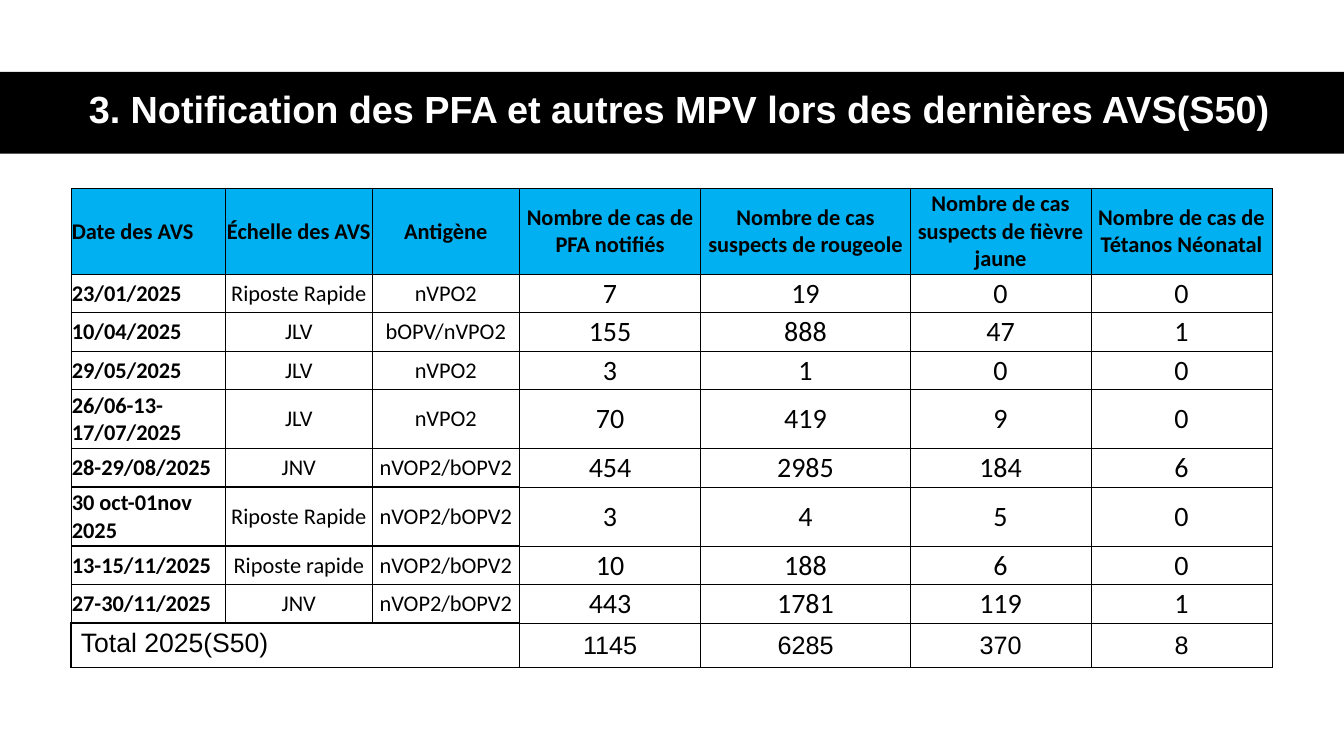
from dataclasses import dataclass

from lxml import etree
from pptx import Presentation
from pptx import util as u
from pptx.dml.color import RGBColor
from pptx.enum import shapes, text
from pptx.oxml.ns import qn

BLACK = RGBColor(0x00, 0x00, 0x00)
WHITE = RGBColor(0xFF, 0xFF, 0xFF)
HEADER_BLUE = RGBColor(0x00, 0xB0, 0xF0)
LABEL_COLUMNS = 3
FIRST_THICK_ROW = 6


@dataclass(frozen=True)
class Column:
    heading: str
    width: float


@dataclass(frozen=True)
class Campaign:
    date: str
    scale: str
    antigen: str
    cases: tuple[int, int, int, int]
    height: float = 0.97

    @property
    def values(self) -> list[str]:
        return [self.date, self.scale, self.antigen, *map(str, self.cases)]


COLUMNS = [
    Column("Date des AVS", 3.89),
    Column("Échelle des AVS", 3.7),
    Column("Antigène", 3.71),
    Column("Nombre de cas de PFA notifiés", 4.57),
    Column("Nombre de cas suspects de rougeole", 5.28),
    Column("Nombre de cas suspects de fièvre jaune", 4.55),
    Column("Nombre de cas de Tétanos Néonatal", 4.57),
]
CAMPAIGNS = [
    Campaign("23/01/2025", "Riposte Rapide", "nVPO2", (7, 19, 0, 0)),
    Campaign("10/04/2025", "JLV", "bOPV/nVPO2", (155, 888, 47, 1)),
    Campaign("29/05/2025", "JLV", "nVPO2", (3, 1, 0, 0)),
    Campaign("26/06-13-17/07/2025", "JLV", "nVPO2", (70, 419, 9, 0), 1.49),
    Campaign("28-29/08/2025", "JNV", "nVOP2/bOPV2", (454, 2985, 184, 6)),
    Campaign("30 oct-01nov 2025", "Riposte Rapide", "nVOP2/bOPV2", (3, 4, 5, 0), 1.49),
    Campaign("13-15/11/2025", "Riposte rapide", "nVOP2/bOPV2", (10, 188, 6, 0)),
    Campaign("27-30/11/2025", "JNV", "nVOP2/bOPV2", (443, 1781, 119, 1)),
]
TOTAL = Campaign("Total 2025(S50)", "", "", (1145, 6285, 370, 8), 1.12)
TOTAL_ROW = len(CAMPAIGNS) + 1


def format_text(tf, size: float, font: str, color: RGBColor, bold: bool, align) -> None:
    p = tf.paragraphs[0]
    p.alignment = align
    for r in p.runs:
        r.font.size = u.Pt(size)
        r.font.name = font
        r.font.bold = bold
        r.font.color.rgb = color


def set_margins(target, horizontal: float, top: float, bottom: float) -> None:
    target.margin_left = target.margin_right = u.Cm(horizontal)
    target.margin_top = u.Cm(top)
    target.margin_bottom = u.Cm(bottom)


def set_borders(cell, row: int, col: int) -> None:
    label = col < LABEL_COLUMNS
    thick = {
        "L": row == TOTAL_ROW and col == 0,
        "R": False,
        "T": label and row >= FIRST_THICK_ROW,
        "B": label and FIRST_THICK_ROW <= row + 1 <= TOTAL_ROW,
    }
    tc_pr = cell._tc.get_or_add_tcPr()
    for side, is_thick in thick.items():
        width = u.Pt(1 if is_thick else 0.5)
        ln = etree.SubElement(tc_pr, qn(f"a:ln{side}"), w=str(width))
        fill = etree.SubElement(ln, qn("a:solidFill"))
        etree.SubElement(fill, qn("a:srgbClr"), val=str(BLACK))


def fill_cell(cell, value: str, row: int, col: int) -> None:
    label = col < LABEL_COLUMNS
    header, total = row == 0, row == TOTAL_ROW
    set_borders(cell, row, col)
    if header or (col == LABEL_COLUMNS and not total):
        cell.fill.solid()
        cell.fill.fore_color.rgb = HEADER_BLUE if header else WHITE
    else:
        cell.fill.background()
    if total and label:
        size = 19
        set_margins(cell, 0.25, 0.13, 0.13)
        cell.vertical_anchor = text.MSO_ANCHOR.TOP
    else:
        size = 18 if total else 16 if header or label else 20
        inset = 0 if total else 0.02
        set_margins(cell, inset, inset, 0)
        cell.vertical_anchor = text.MSO_ANCHOR.MIDDLE
    cell.text_frame.text = value
    align = text.PP_ALIGN.LEFT if col == 0 else text.PP_ALIGN.CENTER
    bold = header or (col == 0 and not total)
    format_text(cell.text_frame, size, "Arial" if total else "Calibri", BLACK, bold, align)


def add_title(s) -> None:
    title = s.shapes.title
    title.left, title.top, title.width, title.height = map(u.Cm, (1.55, 1.78, 31.14, 2.06))
    tf = title.text_frame
    tf.text = "3. Notification des PFA et autres MPV lors des dernières AVS(S50)"
    tf.word_wrap = True
    tf.auto_size = text.MSO_AUTO_SIZE.NONE
    tf.vertical_anchor = text.MSO_ANCHOR.MIDDLE
    format_text(tf, 27, "Arial", WHITE, True, text.PP_ALIGN.CENTER)
    tf.paragraphs[0].line_spacing = 0.9


def add_title_band(s, width: int) -> None:
    sp = s.shapes.add_shape(shapes.MSO_SHAPE.RECTANGLE, 0, u.Cm(1.81), width, u.Cm(2.06))
    sp.shadow.inherit = False
    sp.fill.solid()
    sp.fill.fore_color.rgb = BLACK
    sp.line.fill.background()
    s.shapes.title._element.addprevious(sp._element)


def add_case_table(s) -> None:
    rows = [*CAMPAIGNS, TOTAL]
    heights = [2.15] + [row.height for row in rows]
    widths = [column.width for column in COLUMNS]
    table = s.shapes.add_table(
        len(heights), len(widths), u.Cm(1.79), u.Cm(4.75), u.Cm(sum(widths)), u.Cm(sum(heights))
    ).table
    table.first_row = table.horz_banding = False
    for column, width in zip(table.columns, widths):
        column.width = u.Cm(width)
    for row, height in zip(table.rows, heights):
        row.height = u.Cm(height)
    values = [[column.heading for column in COLUMNS]] + [row.values for row in rows]
    for i, line in enumerate(values):
        for j, value in enumerate(line):
            fill_cell(table.cell(i, j), value, i, j)
    table.cell(TOTAL_ROW, 0).merge(table.cell(TOTAL_ROW, LABEL_COLUMNS - 1))


def main() -> None:
    prs = Presentation()
    prs.slide_width, prs.slide_height = u.Cm(33.87), u.Cm(19.05)
    s = prs.slides.add_slide(prs.slide_layouts[5])
    add_title(s)
    add_title_band(s, prs.slide_width)
    add_case_table(s)
    prs.save("out.pptx")


if __name__ == "__main__":
    main()
